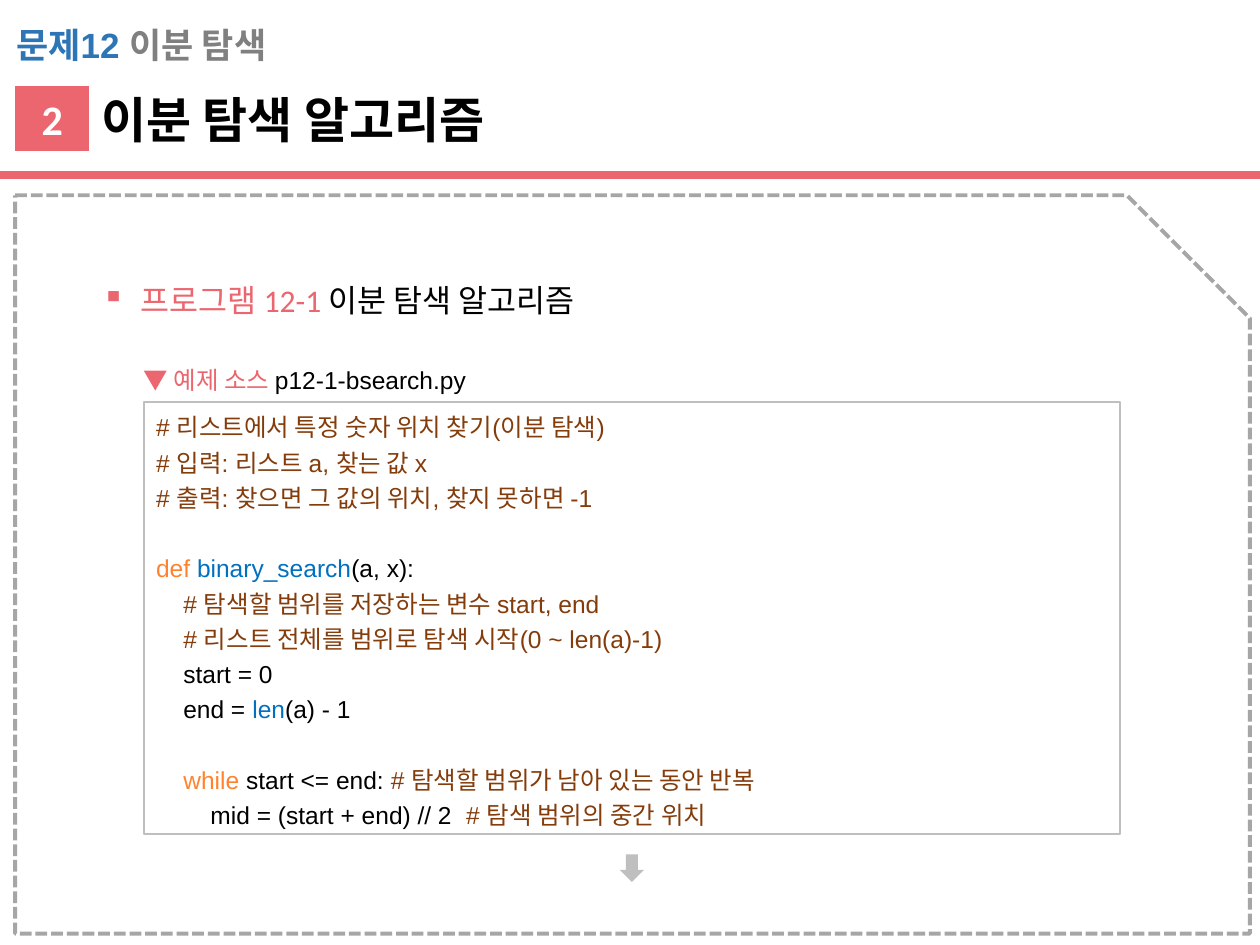
from dataclasses import dataclass
from typing import NamedTuple, Optional

from lxml.etree import SubElement
from pptx import Presentation
from pptx.dml.color import RGBColor
from pptx.enum.dml import MSO_LINE
from pptx.enum.shapes import MSO_CONNECTOR, MSO_SHAPE
from pptx.enum.text import MSO_ANCHOR, MSO_AUTO_SIZE, PP_ALIGN
from pptx.oxml.ns import qn
from pptx.util import Inches, Pt

COLUMNS, ROWS = 100, 75
SLIDE_WIDTH, SLIDE_HEIGHT = Inches(10), Inches(7.5)


@dataclass(frozen=True)
class Theme:
    accent: str = "EB666E"
    heading: str = "2E75B6"
    muted: str = "808080"
    frame: str = "A6A6A6"
    border: str = "BFBFBF"
    ink: str = "000000"
    paper: str = "FFFFFF"
    comment: str = "843C0B"
    keyword: str = "FF822D"
    name: str = "0070C0"
    chapter_size: int = 20
    number_size: int = 24
    title_size: int = 28
    topic_size: int = 18
    code_size: int = 14
    body_font: str = "Arial"
    accent_font: str = "Calibri"


THEME = Theme()


class Area(NamedTuple):
    """Place on the slide grid, in columns and rows."""
    left: float
    top: float
    width: float
    height: float


class Span(NamedTuple):
    text: str
    color: str = THEME.ink


@dataclass(frozen=True)
class Style:
    size: int
    font: str = THEME.body_font
    bold: bool = False
    line_spacing: Optional[float] = None
    bullet: Optional[str] = None
    align: Optional[PP_ALIGN] = None


def across(columns: float) -> int:
    return round(SLIDE_WIDTH * columns / COLUMNS)


def down(rows: float) -> int:
    return round(SLIDE_HEIGHT * rows / ROWS)


def place(area: Area) -> tuple[int, int, int, int]:
    return across(area.left), down(area.top), across(area.width), down(area.height)


def add_bullet(para, character: str, color: str) -> None:
    properties = para._p.get_or_add_pPr()
    properties.set("marL", str(across(3.1)))
    properties.set("indent", str(-across(3.1)))
    bullet_color = SubElement(properties, qn("a:buClr"))
    SubElement(bullet_color, qn("a:srgbClr"), val=color)
    SubElement(properties, qn("a:buChar"), char=character)


def write(frame, lines: list[list[Span]], style: Style) -> None:
    frame.word_wrap = True
    for index, spans in enumerate(lines):
        para = frame.add_paragraph() if index else frame.paragraphs[0]
        para.alignment = style.align or PP_ALIGN.LEFT
        if style.line_spacing:
            para.line_spacing = style.line_spacing
        if style.bullet:
            add_bullet(para, style.bullet, THEME.accent)
        para.font.size = Pt(style.size)
        para.font.name = style.font
        para.font.bold = style.bold
        for span in spans:
            run = para.add_run()
            run.text = span.text
            run.font.color.rgb = RGBColor.from_string(span.color)
        if not spans:  # an empty code line keeps the code size
            SubElement(para._p, qn("a:endParaRPr"), sz=str(style.size * 100))


def add_text(page, area: Area, spans: list[Span], style: Style) -> None:
    box = page.shapes.add_textbox(*place(area))
    box.text_frame.auto_size = MSO_AUTO_SIZE.SHAPE_TO_FIT_TEXT
    write(box.text_frame, [spans], style)


def add_panel(page, kind: MSO_SHAPE, area: Area, fill: Optional[str] = None,
              line: Optional[str] = None, weight: float = 1):
    panel = page.shapes.add_shape(kind, *place(area))
    panel.shadow.inherit = False
    if fill:
        panel.fill.solid()
        panel.fill.fore_color.rgb = RGBColor.from_string(fill)
    else:
        panel.fill.background()
    if line:
        panel.line.color.rgb = RGBColor.from_string(line)
        panel.line.width = Pt(weight)
    else:
        panel.line.fill.background()
    panel.text_frame.vertical_anchor = MSO_ANCHOR.MIDDLE
    return panel


def add_rule(page, row: float, color: str, weight: float) -> None:
    rule = page.shapes.add_connector(
        MSO_CONNECTOR.STRAIGHT, 0, down(row), SLIDE_WIDTH, down(row))
    rule.line.color.rgb = RGBColor.from_string(color)
    rule.line.width = Pt(weight)
    SubElement(rule._element.spPr, qn("a:effectLst"))


CODE = [
    [Span("# 리스트에서 특정 숫자 위치 찾기(이분 탐색)", THEME.comment)],
    [Span("# 입력: 리스트 a, 찾는 값 x", THEME.comment)],
    [Span("# 출력: 찾으면 그 값의 위치, 찾지 못하면 -1", THEME.comment)],
    [],
    [Span("def ", THEME.keyword), Span("binary_search", THEME.name), Span("(a, x):")],
    [Span("    # 탐색할 범위를 저장하는 변수 start, end", THEME.comment)],
    [Span("    # 리스트 전체를 범위로 탐색 시작(0 ~ len(a)-1)", THEME.comment)],
    [Span("    start = 0")],
    [Span("    end = "), Span("len", THEME.name), Span("(a) - 1")],
    [],
    [Span("    "), Span("while", THEME.keyword), Span(" start <= end: "),
     Span("# 탐색할 범위가 남아 있는 동안 반복", THEME.comment)],
    [Span("        mid = (start + end) // 2  "),
     Span("# 탐색 범위의 중간 위치", THEME.comment)],
]


def main() -> None:
    deck = Presentation()
    deck.slide_width, deck.slide_height = SLIDE_WIDTH, SLIDE_HEIGHT
    page = deck.slides.add_slide(deck.slide_layouts[6])

    # Dashed frame and header rule
    frame = add_panel(page, MSO_SHAPE.SNIP_1_RECTANGLE, Area(1.2, 15.5, 98, 58.6),
                      line=THEME.frame, weight=2.25)
    frame.line.dash_style = MSO_LINE.SQUARE_DOT
    add_rule(page, 13.9, THEME.accent, 4.5)

    # Chapter, section number and title
    add_text(page, Area(0.3, 1.4, 94.5, 4.4),
             [Span("문제12 ", THEME.heading), Span("이분 탐색", THEME.muted)],
             Style(THEME.chapter_size, bold=True))
    badge = add_panel(page, MSO_SHAPE.FLOWCHART_PROCESS, Area(1.2, 6.8, 5.9, 5.2),
                      fill=THEME.accent)
    write(badge.text_frame, [[Span("2", THEME.paper)]],
          Style(THEME.number_size, THEME.accent_font, bold=True, align=PP_ALIGN.CENTER))
    add_text(page, Area(7.1, 6.6, 92.1, 5.7), [Span("이분 탐색 알고리즘")],
             Style(THEME.title_size, bold=True))

    # Program topic
    add_text(page, Area(7.1, 19.9, 87.7, 6),
             [Span("프로그램 12-1 ", THEME.accent), Span("이분 탐색 알고리즘")],
             Style(THEME.topic_size, THEME.accent_font, line_spacing=1.65, bullet="▪"))

    # Source listing with its caption and continuation arrow
    listing = add_panel(page, MSO_SHAPE.RECTANGLE, Area(11.4, 31.9, 77.5, 34.3),
                        line=THEME.border)
    write(listing.text_frame, CODE, Style(THEME.code_size, line_spacing=1.2))
    add_text(page, Area(10.4, 28.5, 34.2, 3.4),
             [Span("▼ 예제 소스 ", THEME.accent), Span("p12-1-bsearch.py")],
             Style(THEME.code_size))
    add_panel(page, MSO_SHAPE.DOWN_ARROW, Area(49.2, 67.8, 1.9, 2.2), fill=THEME.border)

    deck.save("out.pptx")


if __name__ == "__main__":
    main()
